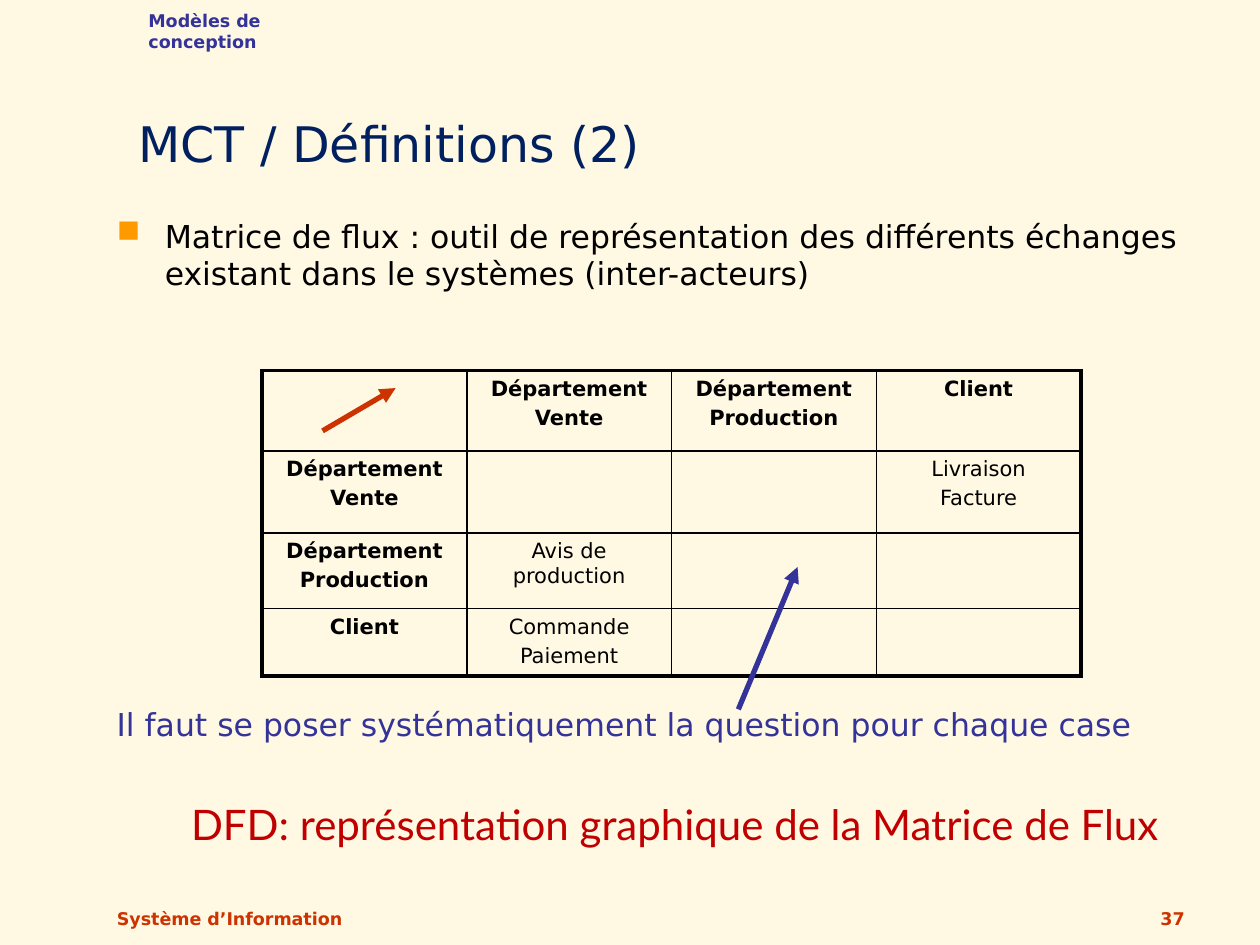
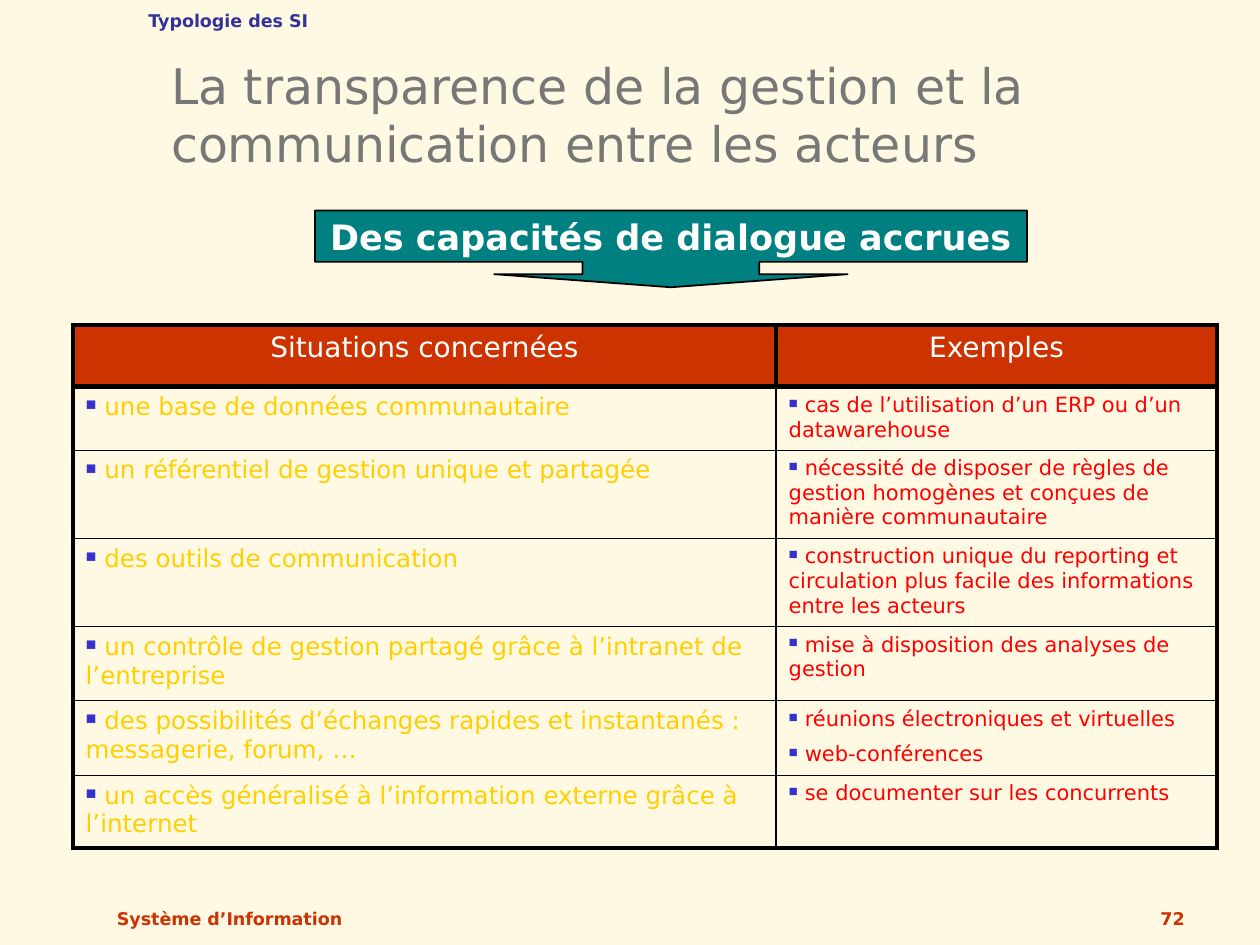
from lxml.etree import SubElement
from pptx import Presentation
from pptx.dml.color import RGBColor as RGB
from pptx.enum.shapes import MSO_CONNECTOR as CONN, MSO_SHAPE as SHAPE
from pptx.enum.text import MSO_ANCHOR as ANCHOR, PP_ALIGN as ALIGN
from pptx.oxml import parse_xml
from pptx.oxml.ns import nsdecls, qn
from pptx.util import Inches, Pt

COLORS = {
    "bg": "FFF8E3", "black": "000000", "white": "FFFFFF", "navy": "002060",
    "grey": "777777", "indigo": "333399", "brick": "CC3300", "orange": "FF9900",
    "dark_red": "C00000", "teal": "008080", "yellow": "FFCF01", "red": "FF0000",
    "bullet": "3333CC",
}
FONT = "DejaVu Sans"
FOOTER = "Système d’Information"

# Text styles
TITLE = {"size": 28, "color": "navy"}
SMALL = {"size": 10, "bold": True, "color": "brick"}
SECTION = {**SMALL, "color": "indigo"}
BODY = {"size": 18}
CELL = {"size": 12, "align": ALIGN.CENTER, "before": 2.4}
HEAD = {**CELL, "bold": True}
BAND = {"size": 16, "color": "white", "align": ALIGN.CENTER}
CELL_BULLET = {"char": "■", "color": "bullet", "pct": 60}
SITUATION = {"size": 14, "color": "yellow", "bullet": CELL_BULLET}
EXAMPLE = {"size": 12, "color": "red", "before": 6, "bullet": CELL_BULLET}

FLOW_MATRIX = [
    ["", "Département\nVente", "Département\nProduction", "Client"],
    ["Département\nVente", "", "", "Livraison\nFacture"],
    ["Département\nProduction", "Avis de production", "", ""],
    ["Client", "Commande\nPaiement", "", ""],
]
DIALOGUE = [
    ["Situations concernées", "Exemples"],
    [" une base de données communautaire",
     " cas de l’utilisation d’un ERP ou d’un datawarehouse"],
    [" un référentiel de gestion unique et partagée",
     " nécessité de disposer de règles de gestion homogènes et conçues de "
     "manière communautaire"],
    [" des outils de communication",
     " construction unique du reporting et circulation plus facile des "
     "informations entre les acteurs"],
    [" un contrôle de gestion partagé grâce à l’intranet de l’entreprise",
     " mise à disposition des analyses de gestion"],
    [" des possibilités d’échanges rapides et instantanés : messagerie, forum, …",
     " réunions électroniques et virtuelles\n web-conférences"],
    [" un accès généralisé à l’information externe grâce à l’internet",
     " se documenter sur les concurrents"],
]


def rgb(name):
    return RGB.from_string(COLORS[name])


def add_bullet(p, char, color, pct=100, indent=0):
    pPr = p._p.get_or_add_pPr()
    pPr.set("marL", str(Inches(indent)))
    pPr.set("indent", str(-Inches(indent)))
    SubElement(SubElement(pPr, qn("a:buClr")), qn("a:srgbClr"), val=COLORS[color])
    SubElement(pPr, qn("a:buSzPct"), val=str(pct * 1000))
    SubElement(pPr, qn("a:buChar"), char=char)


def write(tf, text, size, color="black", bold=False, font=FONT,
          align=ALIGN.LEFT, before=0, bullet=None):
    """Fill a text frame, one paragraph per line of text."""
    for i, line in enumerate(text.split("\n")):
        p = tf.paragraphs[0] if i == 0 else tf.add_paragraph()
        p.alignment = align
        if i and before:
            p.space_before = Pt(before)
        if bullet:
            add_bullet(p, **bullet)
        r = p.add_run()
        r.text = line
        r.font.color.rgb = rgb(color)
        for name, value in {"size": Pt(size), "bold": bold, "name": font}.items():
            setattr(r.font, name, value)


def add_text(s, box, text, style, anchor=ANCHOR.TOP):
    tf = s.shapes.add_textbox(*map(Inches, box)).text_frame
    tf.word_wrap = True
    tf.vertical_anchor = anchor
    write(tf, text, **style)


def add_arrow(s, start, end, color):
    sp = s.shapes.add_connector(CONN.STRAIGHT, *map(Inches, start + end))
    sp.line.color.rgb = rgb(color)
    sp.line.width = Pt(3)
    SubElement(sp.line._get_or_add_ln(), qn("a:tailEnd"), type="triangle")
    SubElement(sp._element.spPr, qn("a:effectLst"))


def set_borders(cell, widths):
    """Draw black borders; widths are in points: left, right, top, bottom."""
    tcPr = cell._tc.get_or_add_tcPr()
    for i, (side, width) in enumerate(zip("LRTB", widths)):
        tcPr.insert(i, parse_xml(
            f'<a:ln{side} {nsdecls("a")} w="{Pt(width)}"><a:solidFill>'
            f'<a:srgbClr val="{COLORS["black"]}"/></a:solidFill></a:ln{side}>'))


def add_grid(s, left, top, cols, rows, data, style_of, x_rules, y_rules, band=None):
    """Add a table; x_rules and y_rules give the width of each grid line."""
    box = map(Inches, (left, top, sum(cols), sum(rows)))
    table = s.shapes.add_table(len(rows), len(cols), *box).table
    table.first_row = table.horz_banding = False
    for col, width in zip(table.columns, cols):
        col.width = Inches(width)
    for row, height in zip(table.rows, rows):
        row.height = Inches(height)
    for i, texts in enumerate(data):
        for j, text in enumerate(texts):
            cell = table.cell(i, j)
            banded = band and i == 0
            if banded:
                cell.fill.solid()
                cell.fill.fore_color.rgb = rgb(band)
            else:
                cell.fill.background()
            set_borders(cell, [3] * 4 if banded else x_rules[j:j + 2] + y_rules[i:i + 2])
            write(cell.text_frame, text, **style_of(i, j))


def add_slide(prs, section, number):
    s = prs.slides.add_slide(prs.slide_layouts[6])
    s.background.fill.solid()
    s.background.fill.fore_color.rgb = rgb("bg")
    add_text(s, (0.83, 6.92, 3.17, 0.5), FOOTER, SMALL, ANCHOR.BOTTOM)
    add_text(s, (7.42, 6.92, 2.08, 0.5), number,
             {**SMALL, "align": ALIGN.RIGHT}, ANCHOR.BOTTOM)
    add_text(s, (1.08, 0.03, 1.6, 0.27), section, SECTION)
    return s


def add_title(s, left, width, text, color):
    add_text(s, (left, 0.17, width, 1.25), text, {**TITLE, "color": color}, ANCHOR.BOTTOM)


def add_callout(s, box, text):
    sp = s.shapes.add_shape(SHAPE.DOWN_ARROW_CALLOUT, *map(Inches, box))
    for i, value in enumerate((2.3, 2.3, 0.17, 0.67)):
        sp.adjustments[i] = value
    sp.shadow.inherit = False
    sp.fill.solid()
    sp.fill.fore_color.rgb = rgb("teal")
    sp.line.color.rgb = rgb("black")
    sp.line.width = Pt(1)
    tf = sp.text_frame
    tf.word_wrap = False
    tf.vertical_anchor = ANCHOR.MIDDLE
    write(tf, text, 20, "white", bold=True, align=ALIGN.CENTER)


def flow_matrix_slide(prs):
    s = add_slide(prs, "Modèles de conception", "37")
    add_title(s, 1, 9.32, "MCT / Définitions (2)", "navy")
    bullet = {"char": "■", "color": "orange", "indent": 0.38}
    add_text(s, (0.83, 1.67, 8.83, 0.9),
             "Matrice de flux : outil de représentation des différents échanges "
             "existant dans le systèmes (inter-acteurs)", {**BODY, "bullet": bullet})
    add_grid(s, 2.08, 2.94, [1.625] * 4, [0.64, 0.65, 0.6, 0.53], FLOW_MATRIX,
             lambda i, j: CELL if i and j else HEAD,
             [2.25, 1, 1, 1, 2.25], [2.25, 1, 1, 1, 2.25])
    add_arrow(s, (2.56, 3.42), (3.14, 3.08), "brick")
    add_text(s, (0.58, 5.55, 8.75, 0.4),
             "Il faut se poser systématiquement la question pour chaque case",
             {**BODY, "color": "indigo", "align": ALIGN.CENTER})
    add_arrow(s, (5.86, 5.63), (6.33, 4.5), "indigo")
    add_text(s, (1.02, 6.29, 8.67, 0.5),
             "DFD: représentation graphique de la Matrice de Flux",
             {"size": 24, "color": "dark_red", "font": "Lato", "align": ALIGN.CENTER})


def dialogue_slide(prs):
    s = add_slide(prs, "Typologie des SI", "72")
    add_callout(s, (2.5, 1.67, 5.65, 0.61), "Des capacités de dialogue accrues")
    add_grid(s, 0.58, 2.58, [5.58, 3.5], [0.49, 0.5, 0.7, 0.7, 0.59, 0.59, 0.58],
             DIALOGUE, lambda i, j: (SITUATION, EXAMPLE)[j] if i else BAND,
             [2.25, 1, 2.25], [3, 3] + [0.25] * 5 + [2.25], band="brick")
    add_title(s, 1.26, 8.52,
              "La transparence de la gestion et la communication entre les acteurs", "grey")


def main():
    prs = Presentation()
    prs.slide_width, prs.slide_height = Inches(10), Inches(7.5)
    flow_matrix_slide(prs)
    dialogue_slide(prs)
    prs.save("out.pptx")


if __name__ == "__main__":
    main()
